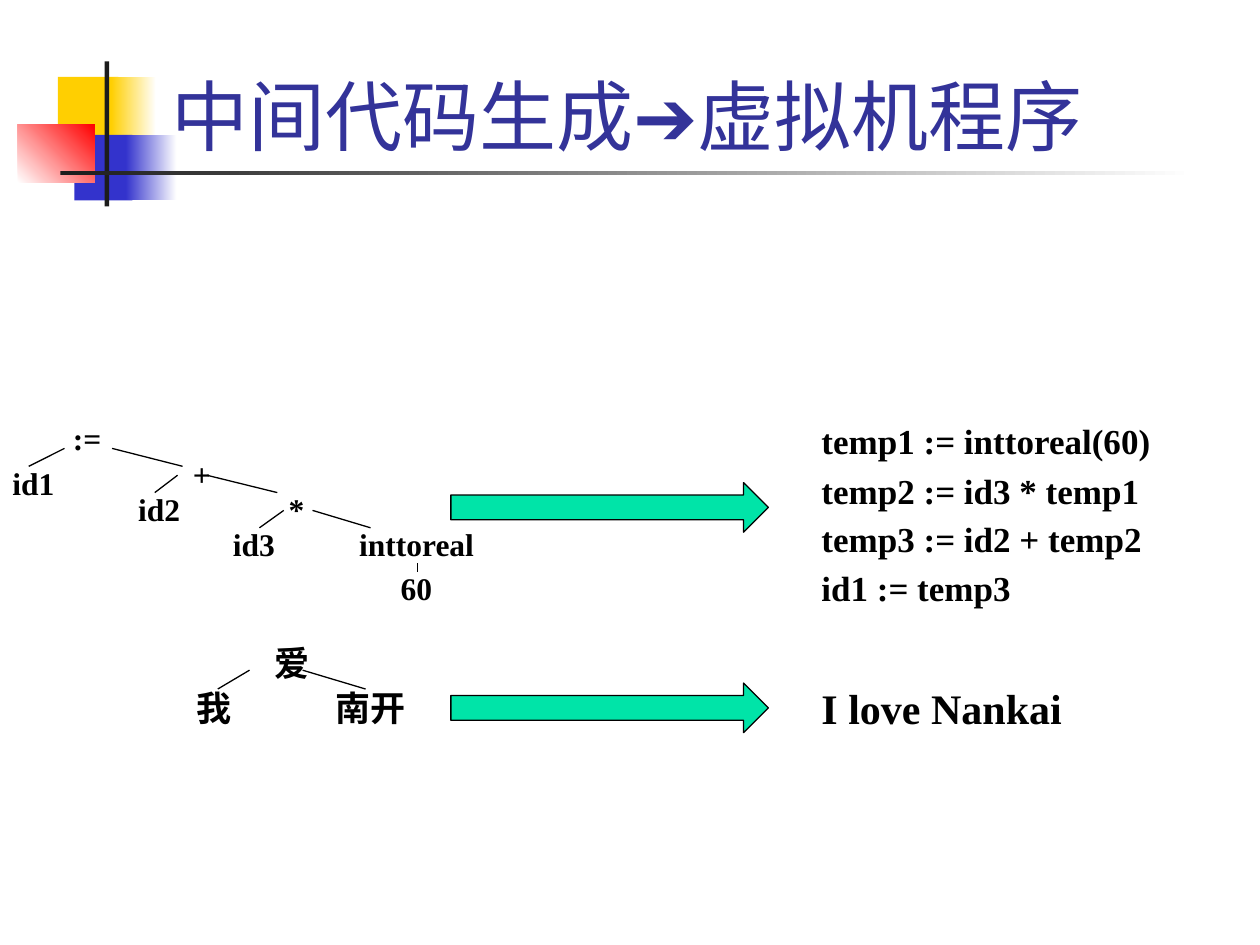
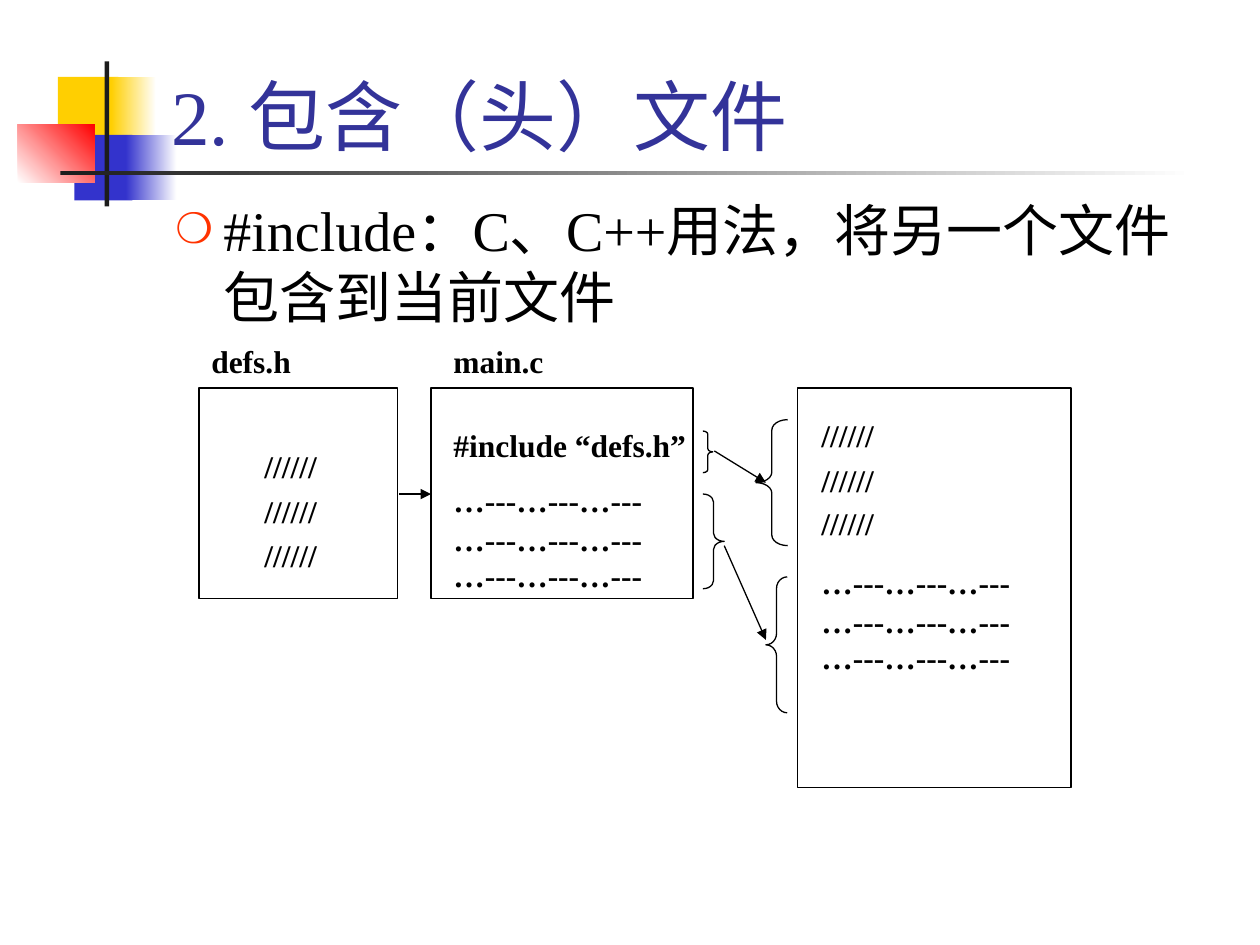
"""Build two compiler lecture slides: intermediate code generation and header inclusion."""
from dataclasses import dataclass
from typing import Any, Optional

from lxml.etree import SubElement
from pptx import Presentation
from pptx.dml.color import RGBColor
from pptx.enum.shapes import MSO_CONNECTOR, MSO_SHAPE
from pptx.enum.text import MSO_ANCHOR, MSO_AUTO_SIZE, PP_ALIGN
from pptx.oxml.ns import qn
from pptx.slide import Slide
from pptx.util import Cm, Pt

BLACK = RGBColor(0x00, 0x00, 0x00)
WHITE = RGBColor(0xFF, 0xFF, 0xFF)
CHARCOAL = RGBColor(0x1C, 0x1C, 0x1C)
YELLOW = RGBColor(0xFF, 0xCF, 0x01)
BLUE = RGBColor(0x33, 0x33, 0xCC)
RED = RGBColor(0xFF, 0x00, 0x00)
TITLE_BLUE = RGBColor(0x33, 0x33, 0x99)
BULLET_ORANGE = RGBColor(0xFF, 0x33, 0x00)
ARROW_GREEN = RGBColor(0x00, 0xE4, 0xA8)

FONT = "Times New Roman"
LINE_WIDTH = Pt(0.75)
GAP_RATIO = 0.55
LABEL_HEIGHT = 1.02


@dataclass(frozen=True)
class Band:
    left: float
    top: float
    width: float
    height: float
    start: RGBColor
    end: Optional[RGBColor] = None
    angle: float = 0


@dataclass(frozen=True)
class Line:
    text: str
    spacing: float = 1.0


@dataclass(frozen=True)
class Label:
    lines: tuple[Line, ...]
    left: float
    top: float
    width: float
    height: float = LABEL_HEIGHT
    size: int = 18
    alignment: PP_ALIGN = PP_ALIGN.LEFT


@dataclass(frozen=True)
class Outline:
    kind: MSO_SHAPE
    left: float
    top: float
    width: float
    height: float
    curve: Optional[float] = None
    fill: Optional[RGBColor] = None


@dataclass(frozen=True)
class Segment:
    start_x: float
    start_y: float
    end_x: float
    end_y: float
    arrow: bool = False


BANDS = (
    Band(1.17, 1.55, 1.22, 1.32, YELLOW),
    Band(2.24, 1.55, 0.91, 1.32, YELLOW, WHITE),
    Band(1.5, 2.72, 1.17, 1.32, BLUE),
    Band(2.54, 2.72, 1.02, 1.32, BLUE, WHITE),
    Band(0.36, 2.51, 1.55, 1.17, WHITE, RED, 45),
    Band(2.11, 1.24, 0.09, 2.92, CHARCOAL),
    Band(1.22, 3.45, 22.86, 0.08, CHARCOAL, WHITE),
)


def node(text: str, left: float, top: float, width: float, size: int = 18) -> Label:
    """Describe a centred syntax tree node."""
    height = LABEL_HEIGHT if size == 18 else 1.12
    return Label((Line(text),), left, top, width, height, size, PP_ALIGN.CENTER)


TREE_LABELS = (
    Label((Line(":="),), 1.22, 8.33, 1.9),
    Label((Line("id1"),), 0, 9.22, 1.6),
    node("id2", 1.42, 9.75, 3.58),
    node("id3", 3.33, 10.46, 3.58),
    node("+", 3.12, 9.04, 1.9),
    node("*", 5.03, 9.75, 1.9),
    node("inttoreal", 6.71, 10.46, 3.38),
    node("60", 7.34, 11.35, 2.11),
    node("爱", 5.03, 12.8, 1.7, 20),
    node("我", 2.72, 13.72, 3.18, 20),
    node("南开", 6.32, 13.72, 2.31, 20),
    Label(
        (
            Line("temp1 := inttoreal(60)"),
            Line("temp2 := id3 * temp1", 0.7),
            Line("temp3 := id2 + temp2", 0.7),
            Line("id1 := temp3", 0.7),
        ),
        16.31, 8.33, 7.59, 4.22, 20,
    ),
    Label((Line("I love Nankai"),), 16.31, 13.64, 7.59, 2.82, 24),
)
TREE_BRANCHES = (
    Segment(1.3, 9.04, 0.58, 9.4),
    Segment(2.26, 9.04, 3.68, 9.4),
    Segment(3.58, 9.58, 3.12, 9.93),
    Segment(4.17, 9.58, 5.59, 9.93),
    Segment(5.72, 10.29, 5.23, 10.64),
    Segment(6.3, 10.29, 7.47, 10.64),
    Segment(8.41, 11.35, 8.41, 11.53),
    Segment(5.03, 13.51, 4.39, 13.89),
    Segment(6.1, 13.51, 7.37, 13.89),
)
TRANSLATION_ARROWS = tuple(
    Outline(MSO_SHAPE.RIGHT_ARROW, 9.09, top, 6.4, 1, fill=ARROW_GREEN)
    for top in (9.73, 13.77)
)

SLASHES = "//////"
DASHES = "…---…---…---"
HEADER_LINES = (Line(SLASHES), Line(SLASHES, 0.7), Line(SLASHES, 0.7))
MAIN_LINES = (Line(DASHES), Line(DASHES, 0.5), Line(DASHES, 0.5))
FILE_LABELS = (
    Label((Line("defs.h"),), 4.01, 6.78, 3.81),
    Label((Line("main.c"),), 8.89, 6.78, 3.81),
    Label(HEADER_LINES, 5.08, 8.89, 2.74, 2.84),
    Label((Line("#include “defs.h”"), *MAIN_LINES), 8.89, 8.46, 5.28, 3.71),
    Label(HEADER_LINES, 16.31, 8.26, 2.74, 2.84),
    Label(MAIN_LINES, 16.31, 11.23, 5.28, 2.57),
)
FILE_OUTLINES = (
    Outline(MSO_SHAPE.RECTANGLE, 4.01, 7.82, 4.01, 4.24),
    Outline(MSO_SHAPE.RECTANGLE, 8.69, 7.82, 5.28, 4.24),
    Outline(MSO_SHAPE.RECTANGLE, 16.08, 7.82, 5.51, 8.05),
    Outline(MSO_SHAPE.RIGHT_BRACE, 14.17, 8.69, 0.2, 0.84, 0.33),
    Outline(MSO_SHAPE.RIGHT_BRACE, 14.17, 9.96, 0.43, 1.91, 0.38),
    Outline(MSO_SHAPE.LEFT_BRACE, 15.24, 8.46, 0.64, 2.54, 0.33),
    Outline(MSO_SHAPE.LEFT_BRACE, 15.44, 11.63, 0.43, 2.74, 0.54),
)
FILE_ARROWS = (
    Segment(8.05, 9.96, 8.69, 9.96, True),
    Segment(14.4, 9.09, 15.44, 9.73, True),
    Segment(14.6, 11, 15.44, 12.9, True),
)


def apply(target: Any, formats: dict[str, Any]) -> None:
    """Set every format value on the target."""
    for name, value in formats.items():
        setattr(target, name, value)


def style_font(font: Any, size: int, color: RGBColor, bold: bool = False) -> None:
    """Give a font the deck's typeface and the wanted look."""
    apply(font, {"name": FONT, "size": Pt(size), "bold": bold})
    font.color.rgb = color


def place(shape: Any, left: float, top: float, width: float, height: float) -> None:
    """Move and size a shape in centimetres."""
    apply(shape, {"left": Cm(left), "top": Cm(top), "width": Cm(width), "height": Cm(height)})


def draw_band(page: Slide, band: Band) -> Any:
    """Draw one plain or fading block of the decoration."""
    box = page.shapes.add_shape(
        MSO_SHAPE.RECTANGLE, Cm(band.left), Cm(band.top), Cm(band.width), Cm(band.height)
    )
    box.shadow.inherit = False
    box.line.fill.background()
    if band.end is None:
        box.fill.solid()
        box.fill.fore_color.rgb = band.start
    else:
        box.fill.gradient()
        box.fill.gradient_angle = band.angle
        for stop, color in zip(box.fill.gradient_stops, (band.start, band.end)):
            stop.color.rgb = color
    return box


def decorate_master(deck: Any, page: Slide) -> None:
    """Draw the decoration and move it behind the master's placeholders."""
    tree = deck.slide_master.shapes.element
    for index, band in enumerate(BANDS):
        element = draw_band(page, band).element
        element.nvSpPr.cNvPr.set("id", str(100 + index))
        tree.insert(2 + index, element)


def draw_outline(page: Slide, outline: Outline) -> None:
    """Draw a black outlined preset shape."""
    shape = page.shapes.add_shape(
        outline.kind, Cm(outline.left), Cm(outline.top), Cm(outline.width), Cm(outline.height)
    )
    shape.shadow.inherit = False
    shape.line.color.rgb = BLACK
    shape.line.width = LINE_WIDTH
    if outline.curve is not None:
        shape.adjustments[0] = outline.curve
    if outline.fill is None:
        shape.fill.background()
    else:
        shape.fill.solid()
        shape.fill.fore_color.rgb = outline.fill


def draw_segment(page: Slide, segment: Segment) -> None:
    """Draw a thin line, with an arrowhead if wanted."""
    connector = page.shapes.add_connector(
        MSO_CONNECTOR.STRAIGHT, Cm(segment.start_x), Cm(segment.start_y),
        Cm(segment.end_x), Cm(segment.end_y),
    )
    connector.line.color.rgb = BLACK
    connector.line.width = LINE_WIDTH
    properties = connector.element.spPr
    if segment.arrow:
        SubElement(properties.find(qn("a:ln")), qn("a:tailEnd"), type="triangle")
    SubElement(properties, qn("a:effectLst"))


def draw_label(page: Slide, label: Label) -> None:
    """Write the lines of a label in a text box."""
    box = page.shapes.add_textbox(
        Cm(label.left), Cm(label.top), Cm(label.width), Cm(label.height)
    )
    frame = box.text_frame
    frame.word_wrap = True
    for index, line in enumerate(label.lines):
        para = frame.paragraphs[0] if index == 0 else frame.add_paragraph()
        gap = label.size * GAP_RATIO if index else 0
        apply(para, {"alignment": label.alignment, "line_spacing": line.spacing,
                     "space_before": Pt(gap)})
        span = para.add_run()
        span.text = line.text
        style_font(span.font, label.size, BLACK, bold=True)


def write_title(page: Slide, text: str) -> None:
    """Fill and format the title placeholder."""
    title = page.shapes.title
    place(title, 3.2, 0.2, 21.64, 3.18)
    title.text_frame.text = text
    apply(title.text_frame, {"vertical_anchor": MSO_ANCHOR.BOTTOM, "word_wrap": True,
                             "auto_size": MSO_AUTO_SIZE.NONE})
    para = title.text_frame.paragraphs[0]
    para.alignment = PP_ALIGN.LEFT
    style_font(para.runs[0].font, 44, TITLE_BLUE)


def write_body(page: Slide, text: str) -> None:
    """Fill the body placeholder with one bulleted paragraph."""
    body = page.placeholders[1]
    place(body, 3.28, 3.81, 21.59, 13.13)
    body.text_frame.text = text
    body.text_frame.auto_size = MSO_AUTO_SIZE.NONE
    para = body.text_frame.paragraphs[0]
    para.space_before = Pt(0)
    properties = para._p.get_or_add_pPr()
    properties.set("marL", str(Cm(0.97)))
    properties.set("indent", str(-Cm(0.97)))
    color = SubElement(properties, qn("a:buClr"))
    SubElement(color, qn("a:srgbClr"), val=str(BULLET_ORANGE))
    SubElement(properties, qn("a:buSzPct"), val="75000")
    SubElement(properties, qn("a:buChar"), char="❍")
    style_font(para.runs[0].font, 32, BLACK)


def draw_diagram(page: Slide, outlines: tuple[Outline, ...], labels: tuple[Label, ...],
                 segments: tuple[Segment, ...]) -> None:
    """Draw the shapes, lines and labels of a slide."""
    for draw, items in ((draw_outline, outlines), (draw_segment, segments), (draw_label, labels)):
        for item in items:
            draw(page, item)


def main() -> None:
    """Build and save the deck."""
    deck = Presentation()
    deck.slide_width, deck.slide_height = Cm(25.4), Cm(19.05)

    generation = deck.slides.add_slide(deck.slide_layouts[5])
    decorate_master(deck, generation)
    write_title(generation, "中间代码生成➔虚拟机程序")
    draw_diagram(generation, TRANSLATION_ARROWS, TREE_LABELS, TREE_BRANCHES)

    inclusion = deck.slides.add_slide(deck.slide_layouts[1])
    write_title(inclusion, "2. 包含（头）文件")
    write_body(inclusion, "#include：C、C++用法，将另一个文件包含到当前文件")
    draw_diagram(inclusion, FILE_OUTLINES, FILE_LABELS, FILE_ARROWS)

    deck.save("out.pptx")


if __name__ == "__main__":
    main()
